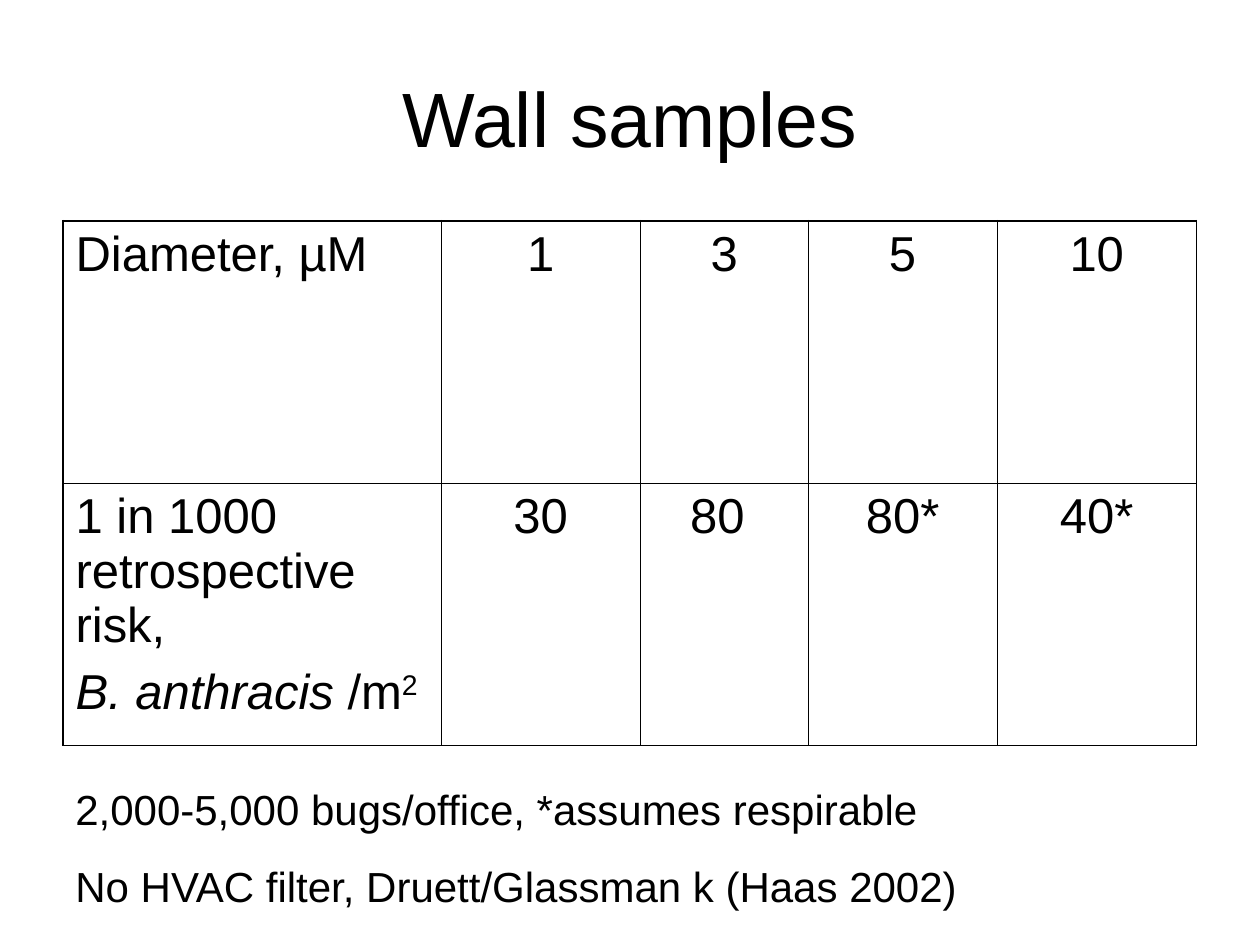
from lxml import etree
from pptx import Presentation
from pptx.dml.color import RGBColor
from pptx.enum.text import MSO_ANCHOR, MSO_AUTO_SIZE, PP_ALIGN
from pptx.oxml.ns import qn
from pptx.util import Cm, Pt

LEFT = PP_ALIGN.LEFT
CENTER = PP_ALIGN.CENTER
MIDDLE = MSO_ANCHOR.MIDDLE
GROW = MSO_AUTO_SIZE.SHAPE_TO_FIT_TEXT
NO_FIT = MSO_AUTO_SIZE.NONE

COLORS = {"ink": "000000", "paper": "FFFFFF"}
FONT = "Arial"
TITLE_ONLY = 5
MARGIN = Cm(1.27)
WIDTH = Cm(22.86)
INNER_LINE = Pt(0.45)
OUTER_LINE = Pt(1.08)

COLUMN_WIDTHS = [7.62, 4.02, 3.38, 3.81, 4.02]
ROW_HEIGHT = 5.29
RISK_LABEL = [
    [("1 in 1000 retrospective risk,", "")],
    [("B. anthracis", "italic"), (" /m", ""), ("2", "superscript")],
]
ROWS = [
    ["Diameter, µM", "1", "3", "5", "10"],
    [RISK_LABEL, "30", "80 ", "80*", "40*"],
]
NOTES = [
    [("2,000-5,000 bugs/office, *assumes respirable", "")],
    [("No HVAC filter, Druett/Glassman k (Haas 2002)", "")],
]


def add_span(para, text, size, style=""):
    span = para.add_run()
    span.text = text
    span.font.name = FONT
    span.font.size = Pt(size)
    span.font.color.rgb = RGBColor.from_string(COLORS["ink"])
    if style == "italic":
        span.font.italic = True
    elif style == "superscript":
        span._r.get_or_add_rPr().set("baseline", "30000")


def write_paragraphs(frame, paragraphs, size, align=LEFT, space_before=0):
    for index, spans in enumerate(paragraphs):
        para = frame.add_paragraph() if index else frame.paragraphs[0]
        para.alignment = align
        para.space_before = Pt(space_before)
        for text, style in spans:
            add_span(para, text, size, style)


def set_borders(cell, widths):
    properties = cell._tc.get_or_add_tcPr()
    for index, (side, width) in enumerate(widths.items()):
        line = etree.Element(qn(f"a:ln{side}"), w=str(width))
        fill = etree.SubElement(line, qn("a:solidFill"))
        etree.SubElement(fill, qn("a:srgbClr"), val=COLORS["ink"])
        properties.insert(index, line)


def add_title(page, text):
    title = page.shapes.title
    title.left, title.top = MARGIN, Cm(0.76)
    title.width, title.height = WIDTH, Cm(3.18)
    frame = title.text_frame
    frame.auto_size = NO_FIT
    frame.vertical_anchor = MIDDLE
    write_paragraphs(frame, [[(text, "")]], 44, CENTER)


def add_sample_table(page):
    last_row, last_column = len(ROWS) - 1, len(COLUMN_WIDTHS) - 1
    table = page.shapes.add_table(
        len(ROWS), len(COLUMN_WIDTHS), MARGIN, Cm(4.45), WIDTH, Cm(ROW_HEIGHT * len(ROWS))
    ).table
    table.first_row = False
    table.horz_banding = False
    for column, width in zip(table.columns, COLUMN_WIDTHS):
        column.width = Cm(width)
    for row_index, values in enumerate(ROWS):
        table.rows[row_index].height = Cm(ROW_HEIGHT)
        for column_index, value in enumerate(values):
            cell = table.cell(row_index, column_index)
            cell.fill.background()
            paragraphs = [[(value, "")]] if isinstance(value, str) else value
            align = CENTER if column_index else LEFT
            write_paragraphs(cell.text_frame, paragraphs, 28, align, 7)
            outer = {
                "L": column_index == 0,
                "R": column_index == last_column,
                "T": row_index == 0,
                "B": row_index == last_row,
            }
            set_borders(cell, {side: OUTER_LINE if edge else INNER_LINE for side, edge in outer.items()})


def add_notes(page):
    box = page.shapes.add_textbox(MARGIN, Cm(15.67), Cm(22.66), Cm(2.82))
    frame = box.text_frame
    frame.word_wrap = True
    frame.auto_size = GROW
    write_paragraphs(frame, NOTES, 24, LEFT, 15)


def main():
    deck = Presentation()
    deck.slide_width, deck.slide_height = Cm(25.4), Cm(19.05)
    page = deck.slides.add_slide(deck.slide_layouts[TITLE_ONLY])
    background = page.background.fill
    background.solid()
    background.fore_color.rgb = RGBColor.from_string(COLORS["paper"])
    add_title(page, "Wall samples")
    add_sample_table(page)
    add_notes(page)
    deck.save("out.pptx")


if __name__ == "__main__":
    main()
